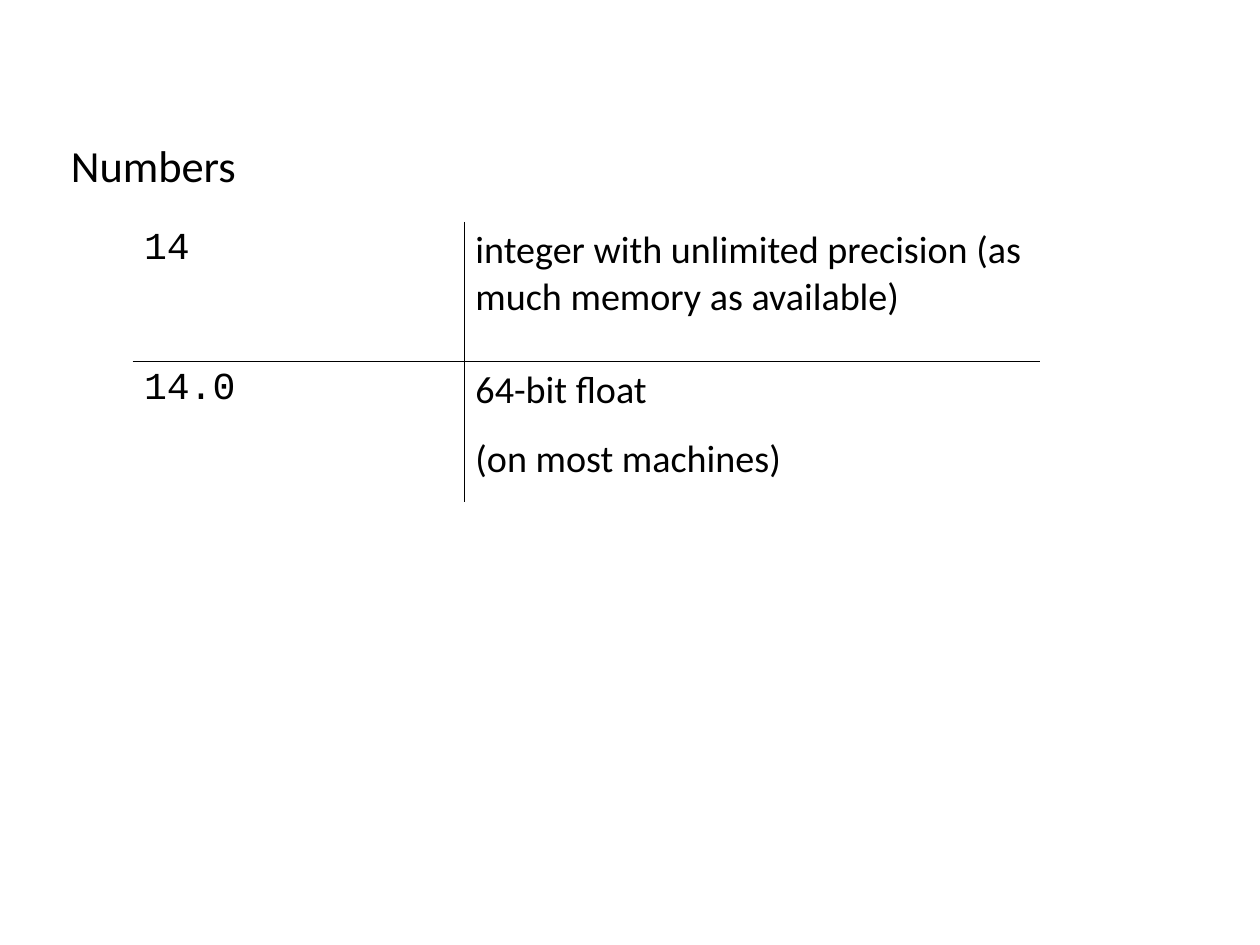
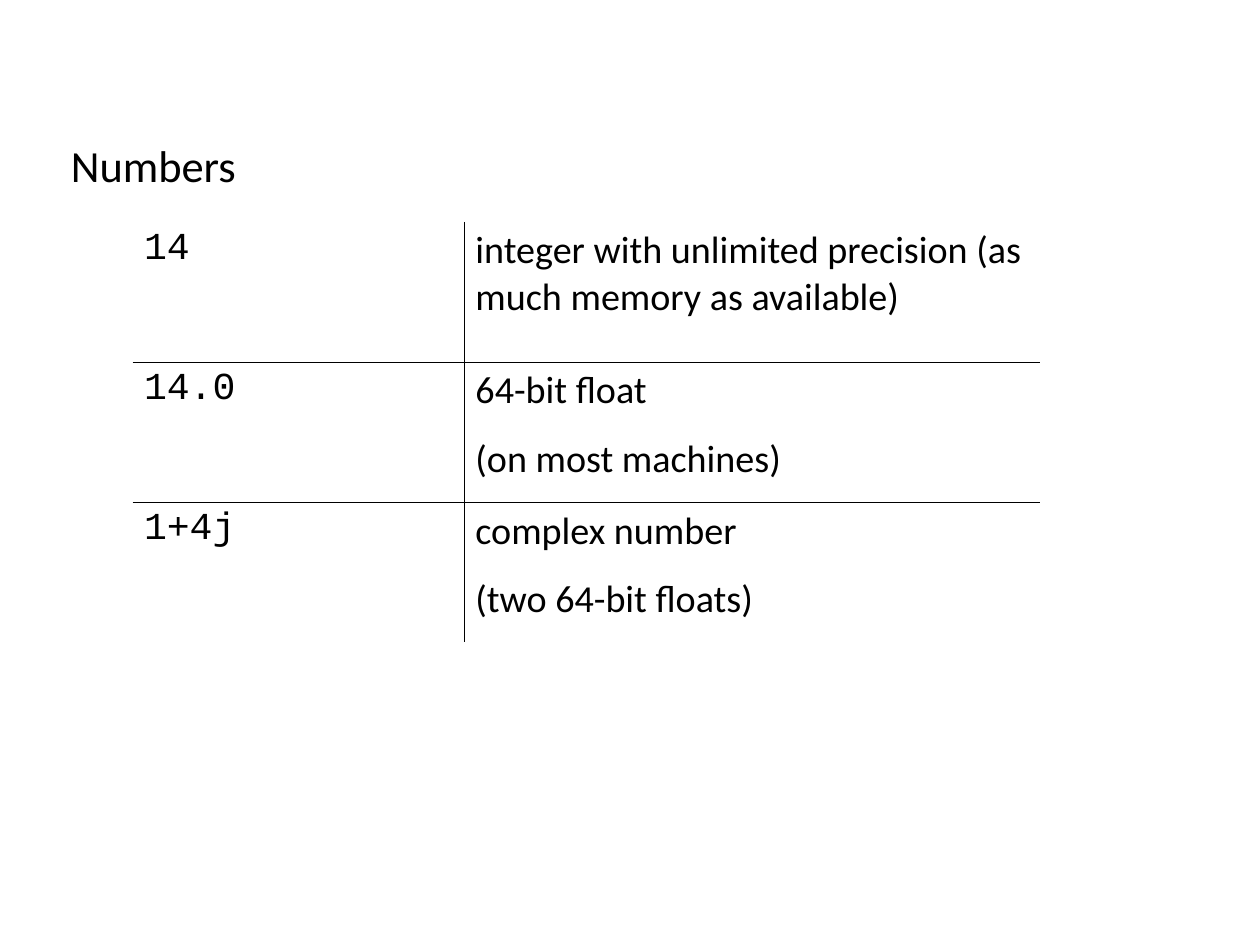
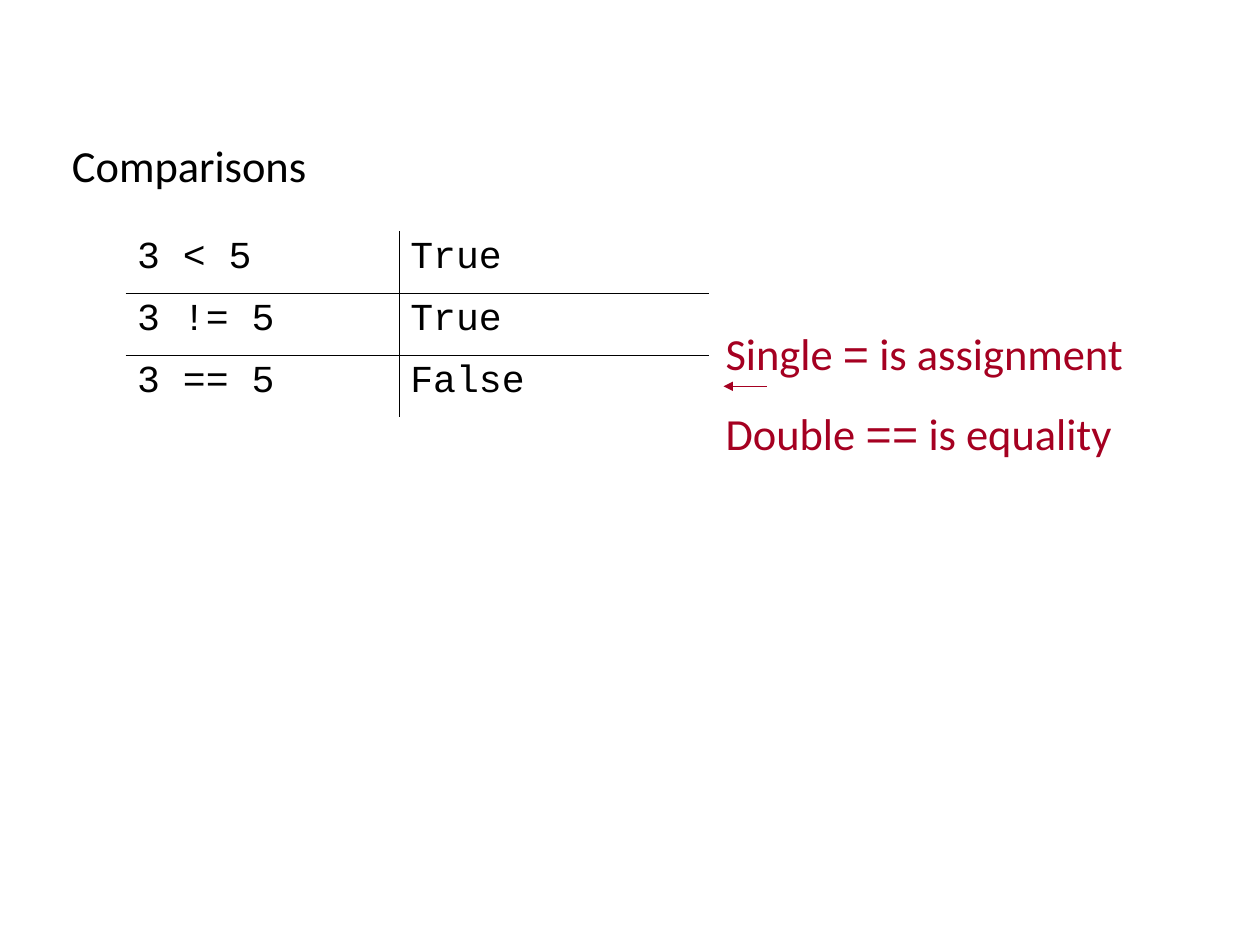
import pptx
import pptx.dml.color
import pptx.enum.shapes
import pptx.enum.text
import pptx.oxml
import pptx.oxml.ns
import pptx.util

BLACK = "000000"
RED = "A50021"
SANS = "Calibri"
MONO = "Courier New"
DRAWING_NS = pptx.oxml.ns.nsdecls("a")
Inches = pptx.util.Inches


def style_font(font, name, size, color):
    font.name = name
    font.size = pptx.util.Pt(size)
    font.color.rgb = pptx.dml.color.RGBColor.from_string(color)


def add_border(cell, side, visible):
    fill = f'<a:solidFill><a:srgbClr val="{BLACK}"/></a:solidFill>' if visible else "<a:noFill/>"
    cell_properties = cell._tc.get_or_add_tcPr()
    cell_properties.append(pptx.oxml.parse_xml(
        f'<a:ln{side} {DRAWING_NS} w="{int(pptx.util.Pt(0.45))}">{fill}</a:ln{side}>'))


# Content
number_rows = [
    ("14", "integer with unlimited precision (as much memory as available)"),
    ("14.0", "64-bit float\n(on most machines)"),
    ("1+4j", "complex number\n(two 64-bit floats)"),
]
comparison_rows = [("3 < 5", "True"), ("3 != 5", "True"), ("3 == 5", "False")]

number_layout = {"title_left": 0.52, "left": 1.16, "top": 1.94, "columns": (2.9, 5.04),
                 "fonts": (MONO, SANS), "spacing": 1.0, "after": 14}
comparison_layout = {"title_left": 0.53, "left": 1.1, "top": 2.02, "columns": (2.39, 2.71),
                     "fonts": (MONO, MONO), "spacing": 0.93, "after": 14.3}

pages = [
    ("Numbers", number_rows[:2], 2.45, number_layout),
    ("Numbers", number_rows, 3.68, number_layout),
    ("Comparisons", comparison_rows, 1.63, comparison_layout),
]

# The page is 28 by 21 cm, an exact 4:3 format
presentation = pptx.Presentation()
presentation.slide_width = pptx.util.Cm(28)
presentation.slide_height = pptx.util.Cm(21)

for heading, rows, height, layout in pages:
    slide = presentation.slides.add_slide(presentation.slide_layouts[5])

    # Title
    title = slide.shapes.title
    title.left, title.top = Inches(layout["title_left"]), Inches(0.92)
    title.width, title.height = Inches(3.25), Inches(0.8)
    title.text_frame.text = heading
    title.text_frame.auto_size = pptx.enum.text.MSO_AUTO_SIZE.NONE
    title.text_frame.vertical_anchor = pptx.enum.text.MSO_ANCHOR.TOP
    heading_line = title.text_frame.paragraphs[0]
    heading_line.alignment = pptx.enum.text.PP_ALIGN.LEFT
    heading_line.line_spacing = 1.5
    style_font(heading_line.runs[0].font, SANS, 28, BLACK)

    # Table with inner rules only
    table = slide.shapes.add_table(
        len(rows), 2, Inches(layout["left"]), Inches(layout["top"]),
        Inches(sum(layout["columns"])), Inches(height)).table
    table.first_row = False
    table.horz_banding = False
    for column, width in zip(table.columns, layout["columns"]):
        column.width = Inches(width)
    for row_index, row in enumerate(rows):
        for column_index, text in enumerate(row):
            cell = table.cell(row_index, column_index)
            cell.text_frame.text = text
            for paragraph in cell.text_frame.paragraphs:
                paragraph.line_spacing = layout["spacing"]
                paragraph.space_after = pptx.util.Pt(layout["after"])
                style_font(paragraph.runs[0].font, layout["fonts"][column_index], 24, BLACK)
            add_border(cell, "L", column_index > 0)
            add_border(cell, "R", column_index == 0)
            add_border(cell, "T", row_index > 0)
            add_border(cell, "B", row_index < len(rows) - 1)
            cell.fill.background()

# Remark beside the last comparison
remark = slide.shapes.add_textbox(Inches(6.25), Inches(2.57), Inches(4.67), Inches(1.5)).text_frame
remark.word_wrap = True
remark_lines = [("Single ", "=", " is assignment"), ("Double ", "==", " is equality")]
for line_index, parts in enumerate(remark_lines):
    paragraph = remark.add_paragraph() if line_index else remark.paragraphs[0]
    paragraph.line_spacing = 1.5
    for part, font_name in zip(parts, (SANS, MONO, SANS)):
        run = paragraph.add_run()
        run.text = part
        style_font(run.font, font_name, 28, RED)

# Arrow pointing at the table
arrow = slide.shapes.add_connector(
    pptx.enum.shapes.MSO_CONNECTOR.STRAIGHT,
    Inches(6.71), Inches(3.38), Inches(6.33), Inches(3.38))
arrow.line.color.rgb = pptx.dml.color.RGBColor.from_string(RED)
arrow.line.width = pptx.util.Pt(0.75)
arrow.line._get_or_add_ln().append(
    pptx.oxml.parse_xml(f'<a:tailEnd {DRAWING_NS} type="triangle"/>'))
arrow._element.spPr.append(pptx.oxml.parse_xml(f"<a:effectLst {DRAWING_NS}/>"))

presentation.save("out.pptx")
